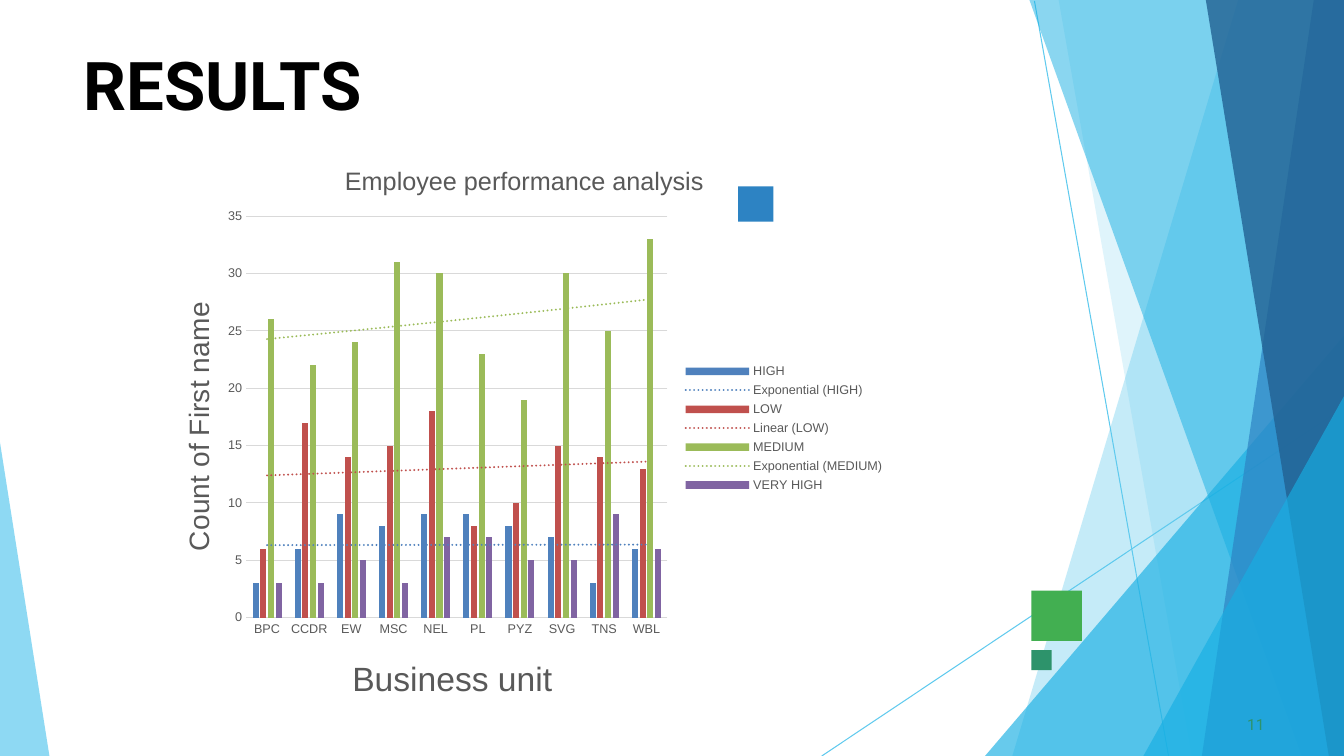
from lxml import etree
from pptx import Presentation
from pptx.chart.data import CategoryChartData
from pptx.dml.color import RGBColor
from pptx.enum import chart as ch, shapes
from pptx.oxml import parse_xml
from pptx.oxml.ns import nsdecls, qn
from pptx.util import Inches, Pt

SKY = RGBColor(0x5F, 0xCA, 0xEE)
CYAN = RGBColor(0x17, 0xAF, 0xE3)
BLUE = RGBColor(0x2D, 0x83, 0xC3)
NAVY = RGBColor(0x22, 0x61, 0x92)
GREEN = RGBColor(0x42, 0xAF, 0x51)
TEAL = RGBColor(0x2D, 0x93, 0x6B)
BLACK = RGBColor(0, 0, 0)
GRAY = RGBColor(0x59, 0x59, 0x59)
GRID = RGBColor(0xD9, 0xD9, 0xD9)

WIDTH, HEIGHT = 13.33, 7.5
RIGHT_TOP, RIGHT_BOTTOM = (WIDTH, 0), (WIDTH, HEIGHT)

RAYS = [((10.26, 0.01), (11.59, HEIGHT)), ((WIDTH, 4.04), (8.15, HEIGHT))]
FACETS = [
    ([RIGHT_TOP, (12.28, 0), (10.04, HEIGHT), RIGHT_BOTTOM], SKY, 36),
    ([RIGHT_TOP, (10.5, 0), (11.82, HEIGHT), RIGHT_BOTTOM], SKY, 20),
    ([(WIDTH, 3.33), (9.77, HEIGHT), RIGHT_BOTTOM], CYAN, 65),
    ([RIGHT_TOP, (10.21, 0), (12.91, HEIGHT), RIGHT_BOTTOM], CYAN, 50),
    ([RIGHT_TOP, (13.03, 0), (11.92, HEIGHT), RIGHT_BOTTOM], BLUE, 70),
    ([RIGHT_TOP, (11.96, 0), (13.18, HEIGHT), RIGHT_BOTTOM], NAVY, 80),
    ([(WIDTH, 3.93), (11.34, HEIGHT), RIGHT_BOTTOM], CYAN, 65),
    ([(0, 4.39), (0, HEIGHT), (0.49, HEIGHT)], SKY, 70),
]
SQUARES = [(10.23, 5.86, 0.5, GREEN), (7.32, 1.85, 0.35, BLUE), (10.23, 6.45, 0.2, TEAL)]

UNITS = ["BPC", "CCDR", "EW", "MSC", "NEL", "PL", "PYZ", "SVG", "TNS", "WBL"]
RATINGS = [
    ("HIGH", [3, 6, 9, 8, 9, 9, 8, 7, 3, 6], "4F81BD", "exp"),
    ("LOW", [6, 17, 14, 15, 18, 8, 10, 15, 14, 13], "C0504D", "linear"),
    ("MEDIUM", [26, 22, 24, 31, 30, 23, 19, 30, 25, 33], "9BBB59", "exp"),
    ("VERY HIGH", [3, 3, 5, 3, 7, 7, 5, 5, 9, 6], "8064A2", None),
]


def add_ray(slide, start, end):
    """Draw a thin background line."""
    ray = slide.shapes.add_connector(
        shapes.MSO_CONNECTOR.STRAIGHT, *(Inches(v) for v in start + end))
    ray.line.color.rgb = SKY
    ray.line.width = Pt(0.75)
    etree.SubElement(ray._element.spPr, qn("a:effectLst"))


def paint(shape, color):
    """Give a shape a plain fill without line or shadow."""
    shape.fill.solid()
    shape.fill.fore_color.rgb = color
    shape.line.fill.background()
    shape.shadow.inherit = False


def add_facet(slide, corners, color, opacity):
    """Draw a translucent background polygon."""
    points = [(Inches(x), Inches(y)) for x, y in corners]
    builder = slide.shapes.build_freeform(*points[0])
    builder.add_line_segments(points[1:], close=True)
    facet = builder.convert_to_shape()
    paint(facet, color)
    tint = facet._element.spPr.find(qn("a:solidFill"))[0]
    etree.SubElement(tint, qn("a:alpha"), val=str(opacity * 1000))


def add_square(slide, left, top, side, color):
    """Draw a small accent square."""
    square = slide.shapes.add_shape(
        shapes.MSO_SHAPE.RECTANGLE, Inches(left), Inches(top), Inches(side), Inches(side))
    paint(square, color)


def style_font(font, size, color, name="Arial", bold=False):
    """Set the size, colour, face and weight of a font."""
    font.size, font.name, font.bold = Pt(size), name, bold
    font.color.rgb = color


def add_text(slide, box, wording, size, color, bold=False):
    """Place a line of text in a box without side margins."""
    frame = slide.shapes.add_textbox(*(Inches(v) for v in box)).text_frame
    frame.word_wrap = True
    frame.margin_left = frame.margin_right = frame.margin_bottom = 0
    frame.margin_top = Inches(0.01)
    line = frame.paragraphs[0]
    line.text = wording
    style_font(line.font, size, color, "Roboto", bold)


def place(element, x, y, size=None, inner=False):
    """Fix a chart part at fractions of the chart area."""
    settings = [("layoutTarget", "inner")] if inner else []
    settings += [("xMode", "edge"), ("yMode", "edge"), ("x", x), ("y", y)]
    if size:
        settings += zip("wh", size)
    parts = "".join(f'<c:{tag} val="{value}"/>' for tag, value in settings)
    layout = parse_xml(
        f'<c:layout {nsdecls("c")}><c:manualLayout>{parts}</c:manualLayout></c:layout>')
    for old in element.findall(qn("c:layout")):
        element.remove(old)
    before = element.find(qn("c:tx"))
    if before is None:
        before = element.find(qn("c:legendPos"))
    if before is None:
        element.insert(0, layout)
    else:
        before.addnext(layout)


def set_title(title, wording, size):
    """Write a chart or axis title."""
    line = title.text_frame.paragraphs[0]
    line.text = wording
    style_font(line.font, size, GRAY)


def add_trend(series, kind, color):
    """Add a dotted trend line to a series."""
    trend = parse_xml(
        f'<c:trendline {nsdecls("c", "a")}><c:spPr><a:ln w="19050" cap="rnd"><a:solidFill>'
        f'<a:srgbClr val="{color}"/></a:solidFill><a:prstDash val="sysDot"/></a:ln></c:spPr>'
        f'<c:trendlineType val="{kind}"/><c:dispRSqr val="0"/><c:dispEq val="0"/></c:trendline>')
    series._element.find(qn("c:cat")).addprevious(trend)


def style_axis(axis, wording, size, x, y):
    """Format an axis with its title."""
    axis.major_tick_mark = axis.minor_tick_mark = ch.XL_TICK_MARK.NONE
    style_font(axis.tick_labels.font, 9, GRAY)
    set_title(axis.axis_title, wording, size)
    place(axis.axis_title._element, x, y)


def add_performance_chart(slide):
    """Build the clustered column chart of ratings by business unit."""
    data = CategoryChartData()
    data.categories = UNITS
    for name, counts, _, _ in RATINGS:
        data.add_series(name, counts)
    box = (Inches(v) for v in (1.52, 1.42, 7.36, 5.66))
    chart = slide.shapes.add_chart(ch.XL_CHART_TYPE.COLUMN_CLUSTERED, *box, data).chart
    style_font(chart.font, 10, BLACK)
    chart.has_title = True
    set_title(chart.chart_title, "Employee performance analysis", 18)

    columns = chart.plots[0]
    columns.gap_width, columns.overlap = 219, -27
    columns.vary_by_categories = False
    for series, (_, _, color, trend) in zip(columns.series, RATINGS):
        series.format.fill.solid()
        series.format.fill.fore_color.rgb = RGBColor.from_string(color)
        if trend:
            add_trend(series, trend, color)

    units, counts = chart.category_axis, chart.value_axis
    style_axis(units, "Business unit", 24, 0.26, 0.89)
    style_axis(counts, "Count of First name", 20, 0.03, 0.27)
    counts.minimum_scale, counts.maximum_scale, counts.major_unit = 0, 35, 5
    counts.format.line.fill.background()
    for line in (units.format.line, counts.major_gridlines.format.line):
        line.color.rgb = GRID
        line.width = Pt(0.75)

    chart.has_legend = True
    chart.legend.position = ch.XL_LEGEND_POSITION.RIGHT
    chart.legend.include_in_layout = False
    style_font(chart.legend.font, 9, GRAY)
    place(chart.legend._element, 0.71, 0.38, (0.28, 0.24))
    plot_area = chart._chartSpace.chart.plotArea
    place(plot_area, 0.125, 0.128, (0.568, 0.704), inner=True)


def main():
    """Build and save the results slide."""
    deck = Presentation()
    deck.slide_width, deck.slide_height = Inches(WIDTH), Inches(HEIGHT)
    slide = deck.slides.add_slide(deck.slide_layouts[6])
    for ray in RAYS:
        add_ray(slide, *ray)
    for facet in FACETS:
        add_facet(slide, *facet)
    for square in SQUARES:
        add_square(slide, *square)
    add_text(slide, (0.83, 0.42, 9.6, 0.9), "RESULTS", 48, BLACK, bold=True)
    add_text(slide, (12.37, 7.08, 0.25, 0.21), "11", 11, TEAL)
    add_performance_chart(slide)
    deck.save("out.pptx")


if __name__ == "__main__":
    main()
